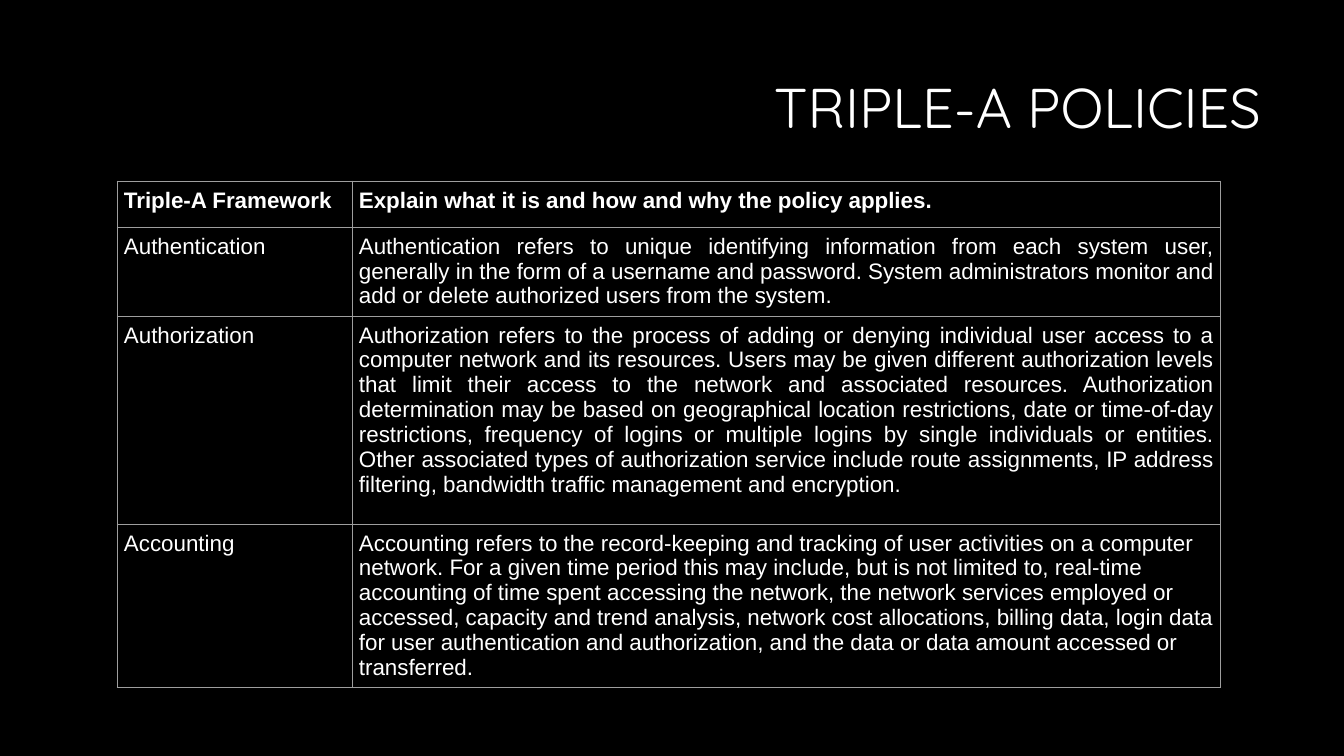
from dataclasses import dataclass

from lxml import etree
from pptx import Presentation
from pptx.dml.color import RGBColor
from pptx.enum.text import MSO_ANCHOR, PP_ALIGN
from pptx.oxml.ns import qn
from pptx.util import Emu, Pt

LEFT, RIGHT, JUSTIFY = PP_ALIGN.LEFT, PP_ALIGN.RIGHT, PP_ALIGN.JUSTIFY
TOP, MIDDLE = MSO_ANCHOR.TOP, MSO_ANCHOR.MIDDLE
EMU_PER_PX = 914400 / 100.8
TITLE_ONLY = 5


@dataclass(frozen=True)
class Theme:
    background: str = "000000"
    text: str = "FFFFFF"
    border: str = "9E9E9E"
    title_font: str = "Quicksand"
    body_font: str = "Arial"
    title_size: int = 40
    body_size: int = 16
    border_width: float = 0.75


THEME = Theme()
COLUMN_WIDTHS = (235, 869)

# Each policy row: height, term, term alignment, explanation, its alignment
POLICIES = [
    (46, "Triple-A Framework", LEFT,
     "Explain what it is and how and why the policy applies.", LEFT),
    (89, "Authentication", JUSTIFY,
     "Authentication refers to unique identifying information from each system "
     "user, generally in the form of a username and password. System "
     "administrators monitor and add or delete authorized users from the system.",
     JUSTIFY),
    (208, "Authorization", LEFT,
     "Authorization refers to the process of adding or denying individual user "
     "access to a computer network and its resources. Users may be given "
     "different authorization levels that limit their access to the network and "
     "associated resources. Authorization determination may be based on "
     "geographical location restrictions, date or time-of-day restrictions, "
     "frequency of logins or multiple logins by single individuals or entities. "
     "Other associated types of authorization service include route assignments, "
     "IP address filtering, bandwidth traffic management and encryption.",
     JUSTIFY),
    (163, "Accounting", LEFT,
     "Accounting refers to the record-keeping and tracking of user activities on "
     "a computer network. For a given time period this may include, but is not "
     "limited to, real-time accounting of time spent accessing the network, the "
     "network services employed or accessed, capacity and trend analysis, network "
     "cost allocations, billing data, login data for user authentication and "
     "authorization, and the data or data amount accessed or transferred.",
     LEFT),
]


def px(length):
    return Emu(round(length * EMU_PER_PX))


def apply(target, formats):
    for attribute, value in formats.items():
        setattr(target, attribute, value)


def write(frame, text, align, font, size, bold=False, spacing=1.0):
    frame.text = text
    paragraph = frame.paragraphs[0]
    apply(paragraph, {"alignment": align, "line_spacing": spacing})
    run_font = paragraph.runs[0].font
    apply(run_font, {"name": font, "size": Pt(size), "bold": bold})
    run_font.color.rgb = RGBColor.from_string(THEME.text)


def add_title(slide, text):
    title = slide.shapes.title
    apply(title, {"left": px(322), "top": px(39),
                  "width": px(949), "height": px(142)})
    apply(title.text_frame, {
        "vertical_anchor": MIDDLE, "word_wrap": True,
        "margin_left": px(10), "margin_right": px(10),
        "margin_top": px(5), "margin_bottom": px(5)})
    write(title.text_frame, text, RIGHT, THEME.title_font, THEME.title_size,
          spacing=0.9)


def add_borders(cell):
    properties = cell._tc.get_or_add_tcPr()
    for position, side in enumerate(("lnL", "lnR", "lnT", "lnB")):
        line = etree.Element(qn(f"a:{side}"), w=str(Pt(THEME.border_width)))
        fill = etree.SubElement(line, qn("a:solidFill"))
        etree.SubElement(fill, qn("a:srgbClr"), val=THEME.border)
        properties.insert(position, line)


def fill_cell(cell, text, align, bold):
    apply(cell, {"vertical_anchor": TOP,
                 "margin_left": px(7), "margin_right": px(7),
                 "margin_top": px(7), "margin_bottom": px(7)})
    cell.fill.background()
    add_borders(cell)
    write(cell.text_frame, text, align, THEME.body_font, THEME.body_size, bold)


def add_policy_table(slide, left, top):
    height = sum(policy[0] for policy in POLICIES)
    table = slide.shapes.add_table(
        len(POLICIES), len(COLUMN_WIDTHS), px(left), px(top),
        px(sum(COLUMN_WIDTHS)), px(height)).table
    apply(table, {"first_row": False, "horz_banding": False})
    for column, width in zip(table.columns, COLUMN_WIDTHS):
        column.width = px(width)
    for index, policy in enumerate(POLICIES):
        row_height, term, term_align, explanation, explanation_align = policy
        table.rows[index].height = px(row_height)
        is_header = index == 0
        fill_cell(table.cell(index, 0), term, term_align, is_header)
        fill_cell(table.cell(index, 1), explanation, explanation_align, is_header)


def main():
    deck = Presentation()
    apply(deck, {"slide_width": px(1344), "slide_height": px(756)})
    slide = deck.slides.add_slide(deck.slide_layouts[TITLE_ONLY])

    # Dark background
    background = slide.background.fill
    background.solid()
    background.fore_color.rgb = RGBColor.from_string(THEME.background)

    # Title and policy table
    add_title(slide, "TRIPLE-A POLICIES")
    add_policy_table(slide, left=117, top=181)

    deck.save("out.pptx")


if __name__ == "__main__":
    main()
